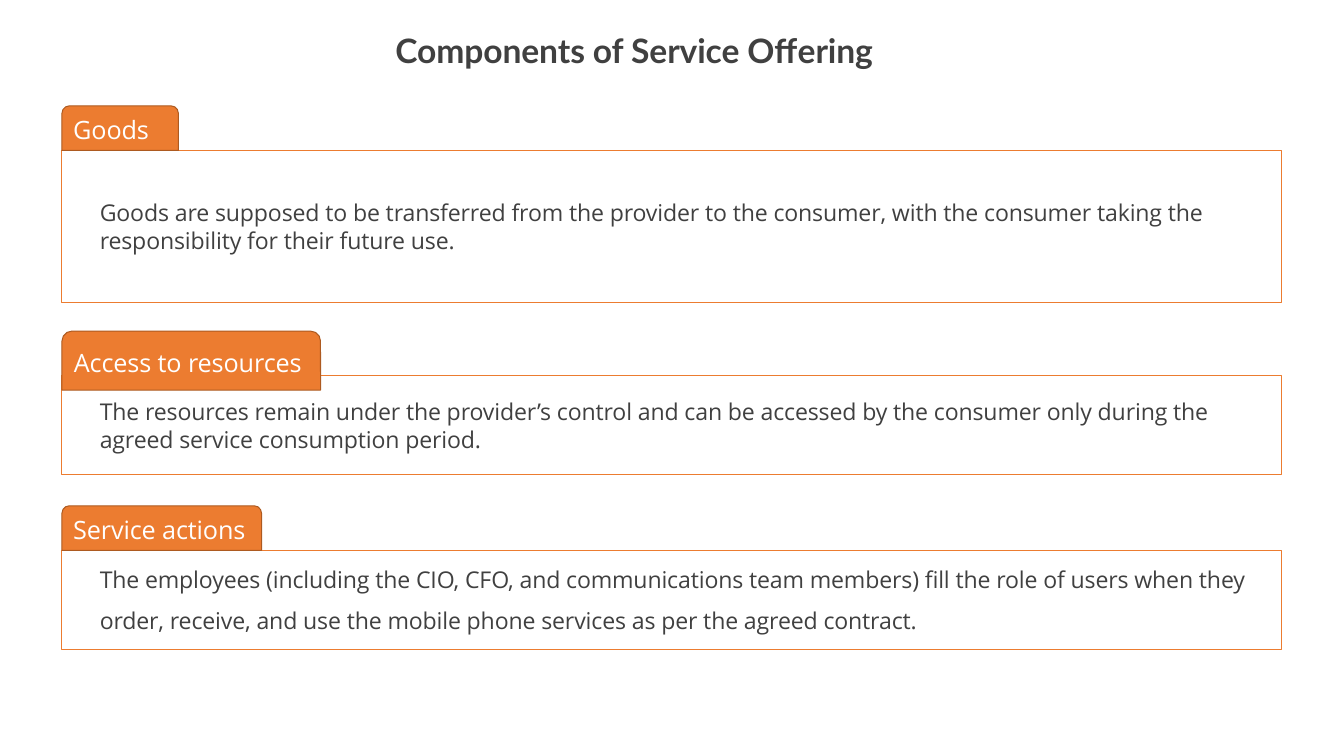
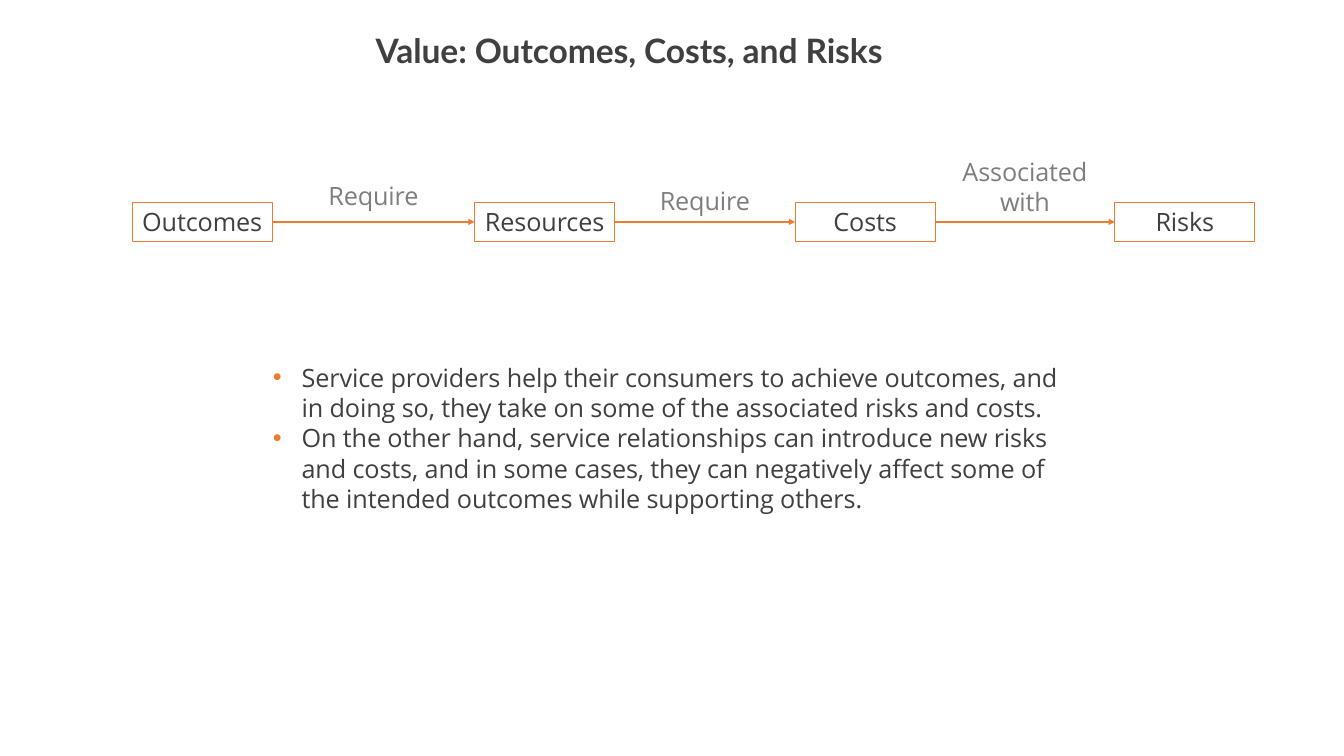
import pptx
import pptx.util
import pptx.dml.color
import pptx.enum.shapes
import pptx.enum.text
import pptx.oxml.ns
import lxml.etree

Inches, Pt = pptx.util.Inches, pptx.util.Pt
RGBColor = pptx.dml.color.RGBColor
SHAPE = pptx.enum.shapes.MSO_SHAPE
ALIGN = pptx.enum.text.PP_ALIGN
qn = pptx.oxml.ns.qn

ORANGE = RGBColor(0xEC, 0x7C, 0x30)
BROWN = RGBColor(0xAD, 0x5A, 0x20)
DARK = RGBColor(0x40, 0x40, 0x40)
GREY = RGBColor(0x7E, 0x7E, 0x7E)
WHITE = RGBColor(0xFF, 0xFF, 0xFF)

TITLE_TOP, TITLE_H = 0.38, 0.56
PANEL_LEFT, PANEL_W = 0.82, 16.14
TAB_RISE = 0.59
NODE_TOP, NODE_W, NODE_H = 2.68, 1.85, 0.51
LABEL_W, LABEL_LINE_H = 1.7, 0.42

COMPONENTS_TITLE = ("Components of Service Offering", 5.23, 7.33)
COMPONENTS = [
    dict(name="Goods", tab_w=1.54, tab_h=0.59, top=1.99, height=2.01, gap=0,
         lines=["Goods are supposed to be transferred from the provider to the consumer, "
                "with the consumer taking the responsibility for their future use."]),
    dict(name="Access to resources", tab_w=3.42, tab_h=0.78, top=4.97, height=1.31, gap=0,
         lines=["The resources remain under the provider’s control and can be accessed "
                "by the consumer only during the",
                "agreed service consumption period."]),
    dict(name="Service actions", tab_w=2.64, tab_h=0.59, top=7.28, height=1.31, gap=13.2,
         lines=["The employees (including the CIO, CFO, and communications team members) "
                "fill the role of users when they",
                "order, receive, and use the mobile phone services as per the agreed contract."]),
]

VALUE_TITLE = ("Value: Outcomes, Costs, and Risks", 4.97, 7.86)
NODES = [("Outcomes", 1.75), ("Resources", 6.28), ("Costs", 10.52), ("Risks", 14.75)]
LINKS = [(["Require"], 2.59), (["Require"], 2.65), (["Associated", "with"], 2.47)]
POINTS = [
    "Service providers help their consumers to achieve outcomes, and in doing so, "
    "they take on some of the associated risks and costs.",
    "On the other hand, service relationships can introduce new risks and costs, and in "
    "some cases, they can negatively affect some of the intended outcomes while "
    "supporting others.",
]


def write(sp, lines, size, color, align=ALIGN.LEFT, font="Open Sans", bold=False,
          inset=0, gap=0, anchor=pptx.enum.text.MSO_ANCHOR.MIDDLE):
    tf = sp.text_frame
    tf.word_wrap = True
    tf.auto_size = pptx.enum.text.MSO_AUTO_SIZE.NONE
    tf.vertical_anchor = anchor
    tf.margin_left = Inches(inset)
    tf.margin_top = tf.margin_right = tf.margin_bottom = 0
    tf.text = "\n".join(lines)
    for i, p in enumerate(tf.paragraphs):
        p.alignment = align
        p.space_before = Pt(gap if i else 0)
        p.font.name, p.font.size, p.font.bold = font, Pt(size), bold
        p.font.color.rgb = color
        p._p.pPr.find(qn("a:defRPr")).set("spc", "-10")


def place(sp, left, top, width, height):
    sp.left, sp.top, sp.width, sp.height = map(Inches, (left, top, width, height))


def add_box(s, kind, left, top, width, height, line, fill=None):
    sp = s.shapes.add_shape(kind, *map(Inches, (left, top, width, height)))
    sp.shadow.inherit = False
    if fill is None:
        sp.fill.background()
    else:
        sp.fill.solid()
        sp.fill.fore_color.rgb = fill
    sp.line.color.rgb = line
    sp.line.width = Pt(0.96)
    return sp


def add_arrow(s, x1, x2, y):
    cx = s.shapes.add_connector(pptx.enum.shapes.MSO_CONNECTOR.STRAIGHT,
                                *map(Inches, (x1, y, x2, y)))
    cx.line.color.rgb = ORANGE
    cx.line.width = Pt(1.25)
    lxml.etree.SubElement(cx.line._get_or_add_ln(), qn("a:tailEnd"), type="triangle")
    lxml.etree.SubElement(cx._element.spPr, qn("a:effectLst"))


def add_slide(prs, layout, title, left, width):
    s = prs.slides.add_slide(prs.slide_layouts[layout])
    place(s.shapes.title, left, TITLE_TOP, width, TITLE_H)
    write(s.shapes.title, [title], 32, DARK, font="Lato", bold=True)
    return s


def build_components(prs):
    s = add_slide(prs, 5, *COMPONENTS_TITLE)
    for c in COMPONENTS:
        panel = add_box(s, SHAPE.RECTANGLE, PANEL_LEFT, c["top"], PANEL_W, c["height"], ORANGE)
        write(panel, c["lines"], 22, DARK, inset=0.5, gap=c["gap"])
        tab = add_box(s, SHAPE.ROUND_2_SAME_RECTANGLE, PANEL_LEFT, c["top"] - TAB_RISE,
                      c["tab_w"], c["tab_h"], BROWN, ORANGE)
        write(tab, [c["name"]], 24, WHITE, inset=0.12)


def build_value(prs):
    s = add_slide(prs, 1, *VALUE_TITLE)
    body = s.placeholders[1]
    place(body, 3.6, 4.79, 10.5, 2.03)
    write(body, POINTS, 24, DARK, anchor=pptx.enum.text.MSO_ANCHOR.TOP)
    for p in body.text_frame.paragraphs:
        pPr = p._p.pPr
        pPr.set("marL", str(Inches(0.39)))
        pPr.set("indent", str(Inches(-0.38)))
        bullet_color = lxml.etree.Element(qn("a:buClr"))
        lxml.etree.SubElement(bullet_color, qn("a:srgbClr"), val=str(ORANGE))
        pPr.find(qn("a:defRPr")).addprevious(bullet_color)

    for name, left in NODES:
        node = add_box(s, SHAPE.RECTANGLE, left, NODE_TOP, NODE_W, NODE_H, ORANGE)
        write(node, [name], 24, DARK, ALIGN.CENTER)
    for (lines, middle), (_, start), (_, end) in zip(LINKS, NODES, NODES[1:]):
        start += NODE_W
        add_arrow(s, start, end, NODE_TOP + NODE_H / 2)
        height = LABEL_LINE_H * len(lines)
        label = s.shapes.add_textbox(*map(Inches, (
            (start + end - LABEL_W) / 2, middle - height / 2, LABEL_W, height)))
        write(label, lines, 24, GREY, ALIGN.CENTER)


def main():
    prs = pptx.Presentation()
    prs.slide_width, prs.slide_height = Inches(17.78), Inches(10)
    build_components(prs)
    build_value(prs)
    prs.save("out.pptx")


if __name__ == "__main__":
    main()
